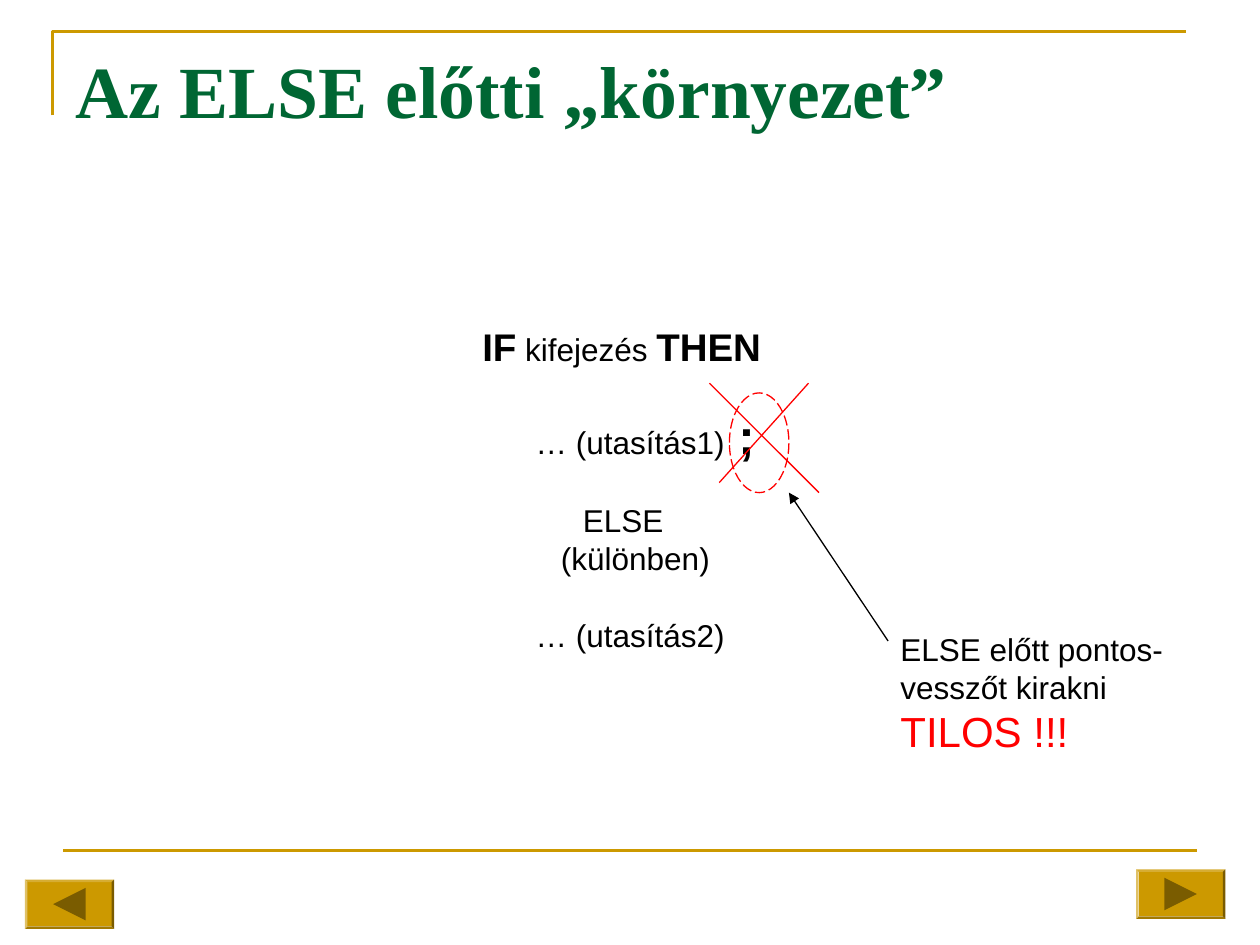
from lxml import etree
from pptx import Presentation
from pptx.dml.color import RGBColor
from pptx.enum.dml import MSO_LINE
from pptx.enum.shapes import MSO_CONNECTOR, MSO_SHAPE
from pptx.enum.text import MSO_ANCHOR, PP_ALIGN
from pptx.oxml.ns import qn
from pptx.util import Pt

GOLD, DARK_GOLD, GREEN, RED, BLACK = "CC9900", "7A5C00", "006633", "FF0000", "000000"


def color(value):
    return RGBColor.from_string(value)


def add_text(paragraph, text, size, value=BLACK, bold=False, font="Arial"):
    run = paragraph.add_run()
    run.text = text
    run.font.name = font
    run.font.size = Pt(size)
    run.font.bold = bold
    run.font.color.rgb = color(value)


presentation = Presentation()
presentation.slide_width = Pt(720)
presentation.slide_height = Pt(540)
slide = presentation.slides.add_slide(presentation.slide_layouts[5])
shapes = slide.shapes

builder = shapes.build_freeform(Pt(30), Pt(66), scale=1.0)
builder.add_line_segments([(Pt(30), Pt(18)), (Pt(678), Pt(18))], close=False)
corner = builder.convert_to_shape()
corner.shadow.inherit = False
corner.fill.background()
corner.line.color.rgb = color(GOLD)
corner.line.width = Pt(1.5)

title = shapes.title
title.left, title.top, title.width, title.height = Pt(36), Pt(22), Pt(648), Pt(90)
title.text_frame.vertical_anchor = MSO_ANCHOR.TOP
title_paragraph = title.text_frame.paragraphs[0]
title_paragraph.alignment = PP_ALIGN.LEFT
add_text(title_paragraph, "Az ELSE előtti „környezet”", 42, GREEN, True, "Times New Roman")

statement_lines = [
    (35, 0, [("IF", 22, True), (" ", 18, True), ("kifejezés ", 18, False), ("THEN", 22, True)]),
    (65.5, 21, [("… (utasítás1)", 18, False), (" ;", 28, True)]),
    (92.5, 21, [("ELSE", 18, False)]),
    (80, 0, [("(különben)", 18, False)]),
    (65.5, 22, [("… (utasítás2)", 18, False)]),
]
statement = shapes.add_textbox(Pt(233.5), Pt(181), Pt(212), Pt(219)).text_frame
statement.word_wrap = True
for index, (indent, space, runs) in enumerate(statement_lines):
    paragraph = statement.add_paragraph() if index else statement.paragraphs[0]
    properties = paragraph._p.get_or_add_pPr()
    properties.set("marL", str(Pt(indent)))
    properties.set("indent", "0")
    paragraph.space_before = Pt(space)
    for text, size, bold in runs:
        add_text(paragraph, text, size, bold=bold)

ellipse = shapes.add_shape(MSO_SHAPE.OVAL, Pt(416.8), Pt(224.5), Pt(34), Pt(57))
ellipse.shadow.inherit = False
ellipse.fill.background()
ellipse.line.color.rgb = color(RED)
ellipse.line.width = Pt(0.75)
ellipse.line.dash_style = MSO_LINE.LONG_DASH

warning = shapes.add_textbox(Pt(507.5), Pt(356.5), Pt(180), Pt(79)).text_frame
warning.word_wrap = True
warning_lines = [("ELSE előtt pontos-", 18, BLACK), ("vesszőt kirakni", 18, BLACK), ("TILOS !!!", 24, RED)]
for index, (text, size, value) in enumerate(warning_lines):
    paragraph = warning.add_paragraph() if index else warning.paragraphs[0]
    add_text(paragraph, text, size, value)

connectors = [
    (36, 486, 684, 486, GOLD, 1.5, False),
    (507.5, 366.3, 450.8, 281.5, BLACK, 0.75, True),
    (462, 219, 411, 275.8, RED, 0.75, False),
    (405.4, 219, 468, 281.5, RED, 0.75, False),
]
for x1, y1, x2, y2, value, width, arrow in connectors:
    connector = shapes.add_connector(MSO_CONNECTOR.STRAIGHT, Pt(x1), Pt(y1), Pt(x2), Pt(y2))
    connector.line.color.rgb = color(value)
    connector.line.width = Pt(width)
    if arrow:
        etree.SubElement(connector.line._get_or_add_ln(), qn("a:tailEnd"), type="triangle")
    etree.SubElement(connector._element.spPr, qn("a:effectLst"))

for left, top, direction in [(649.2, 496.8, 1), (14.2, 502.6, -1)]:
    button = shapes.add_shape(MSO_SHAPE.BEVEL, Pt(left), Pt(top), Pt(51), Pt(28.2))
    button.adjustments[0] = 0.05
    center_x, center_y = left + 25.5, top + 14.1
    builder = shapes.build_freeform(Pt(center_x - 9.3 * direction), Pt(center_y - 9.3), scale=1.0)
    builder.add_line_segments([
        (Pt(center_x + 9.3 * direction), Pt(center_y)),
        (Pt(center_x - 9.3 * direction), Pt(center_y + 9.3)),
    ])
    triangle = builder.convert_to_shape()
    for shape, value in [(button, GOLD), (triangle, DARK_GOLD)]:
        shape.shadow.inherit = False
        shape.fill.solid()
        shape.fill.fore_color.rgb = color(value)
        shape.line.fill.background()

presentation.save("out.pptx")
